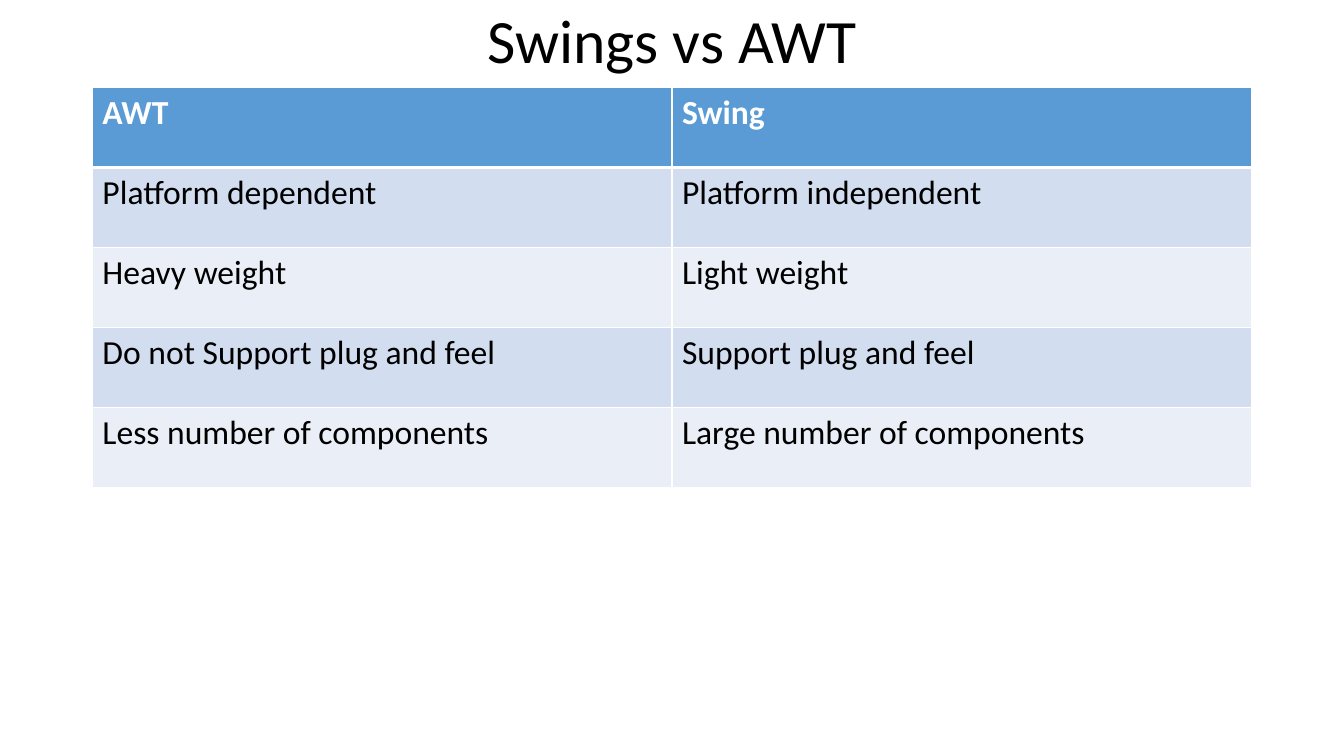
import dataclasses

import lxml.etree
import pptx
import pptx.dml.color
import pptx.enum.text
import pptx.oxml.ns
import pptx.table
import pptx.text.text
import pptx.util

Pt = pptx.util.Pt
LEFT, WIDTH = 66, 828
TITLE_HEIGHT = 62.6
ROW_HEIGHT = 57.15


@dataclasses.dataclass
class ComparisonRow:
    awt: str
    swing: str
    fill: str
    color: str = "000000"
    bold: bool = False
    top_border: float = 1
    bottom_border: float = 1


ROWS = [
    ComparisonRow("AWT", "Swing", "5B9BD5", "FFFFFF", True, bottom_border=3),
    ComparisonRow("Platform dependent", "Platform independent", "D2DEEF", top_border=3),
    ComparisonRow("Heavy weight", "Light weight", "EAEFF7"),
    ComparisonRow("Do not Support plug and feel", "Support plug and feel", "D2DEEF"),
    ComparisonRow("Less number of components", "Large number of components", "EAEFF7"),
]


def rgb(value: str) -> pptx.dml.color.RGBColor:
    return pptx.dml.color.RGBColor.from_string(value)


def write_text(frame: pptx.text.text.TextFrame, text: str, *, size: float,
               color: str = "000000", bold: bool = False,
               align: pptx.enum.text.PP_ALIGN = pptx.enum.text.PP_ALIGN.LEFT,
               line_spacing: float = 1.0) -> None:
    para = frame.paragraphs[0]
    para.alignment = align
    para.line_spacing = line_spacing
    span = para.add_run()
    span.text = text
    span.font.name = "Calibri"
    span.font.size = Pt(size)
    span.font.bold = bold
    span.font.color.rgb = rgb(color)


def add_border(cell: pptx.table._Cell, side: str, width: float, color: str = "FFFFFF") -> None:
    qn = pptx.oxml.ns.qn
    properties = cell._tc.get_or_add_tcPr()
    line = lxml.etree.SubElement(properties, qn(f"a:ln{side}"), w=str(int(Pt(width))))
    fill = lxml.etree.SubElement(line, qn("a:solidFill"))
    lxml.etree.SubElement(fill, qn("a:srgbClr"), val=color)


def format_cell(cell: pptx.table._Cell, text: str, row: ComparisonRow) -> None:
    write_text(cell.text_frame, text, size=24, color=row.color, bold=row.bold)
    borders = {"L": 1, "R": 1, "T": row.top_border, "B": row.bottom_border}
    for side, width in borders.items():
        add_border(cell, side, width)
    cell.fill.solid()
    cell.fill.fore_color.rgb = rgb(row.fill)


def main() -> None:
    deck = pptx.Presentation()
    deck.slide_width, deck.slide_height = Pt(960), Pt(540)
    page = deck.slides.add_slide(deck.slide_layouts.get_by_name("Title Only"))

    title = page.shapes.title
    title.left, title.top = Pt(LEFT), Pt(0)
    title.width, title.height = Pt(WIDTH), Pt(TITLE_HEIGHT)
    title.text_frame.vertical_anchor = pptx.enum.text.MSO_ANCHOR.MIDDLE
    write_text(title.text_frame, "Swings vs AWT", size=44,
               align=pptx.enum.text.PP_ALIGN.CENTER, line_spacing=0.9)

    table = page.shapes.add_table(len(ROWS), 2, Pt(LEFT), Pt(TITLE_HEIGHT),
                                  Pt(WIDTH), Pt(ROW_HEIGHT * len(ROWS))).table
    for index, row in enumerate(ROWS):
        table.rows[index].height = Pt(ROW_HEIGHT)
        for column, text in enumerate((row.awt, row.swing)):
            format_cell(table.cell(index, column), text, row)

    deck.save("out.pptx")


if __name__ == "__main__":
    main()
